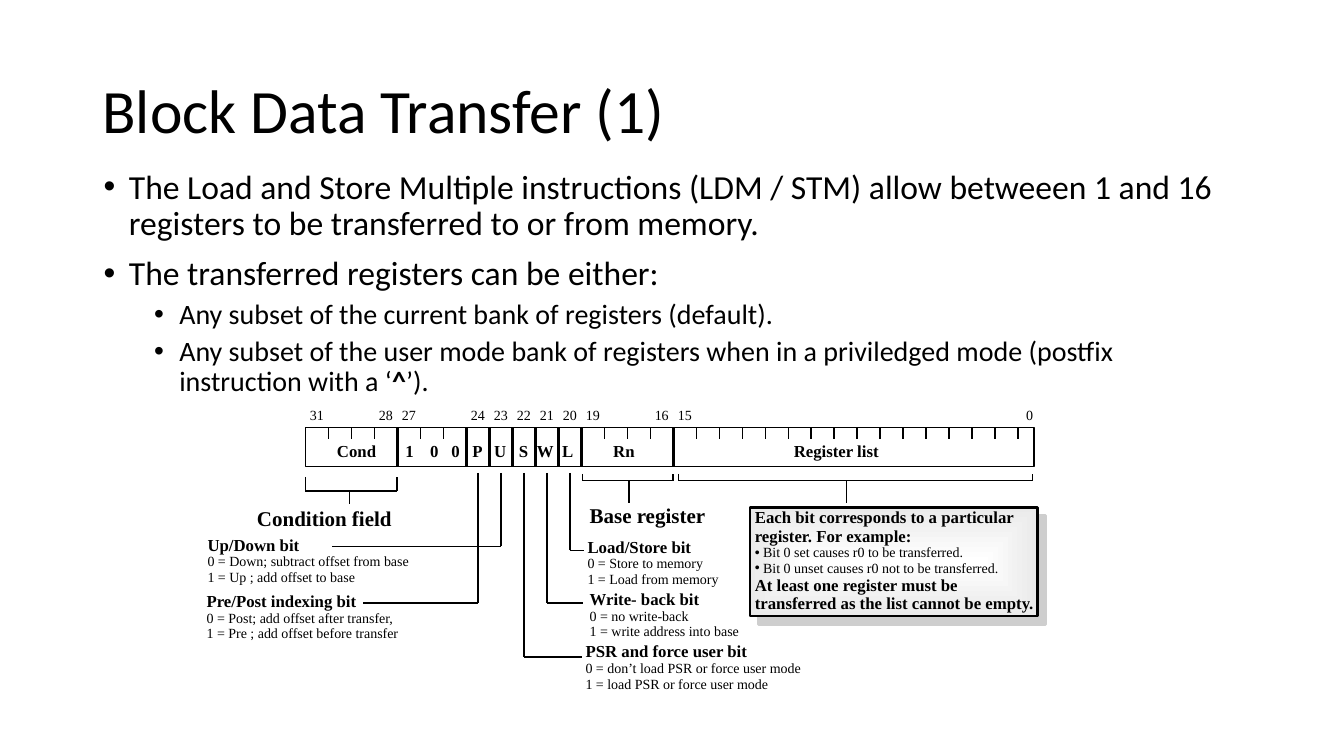
from lxml import etree
from pptx import Presentation
from pptx import util as u
from pptx.dml.color import RGBColor
from pptx.enum import shapes, text
from pptx.oxml import parse_xml
from pptx.oxml.ns import qn

NS = 'xmlns:a="http://schemas.openxmlformats.org/drawingml/2006/main"'
COLOURS = {"ink": "000000", "light": "FFFFFF", "grey": "EAEAEA", "shadow": "CECECE"}
SANS, SERIF = "Calibri", "Times New Roman"

TITLE = "Block Data Transfer (1)"
# text spans (every second one bold), size, left margin, space before
BODY = [
    (["The Load and Store Multiple instructions (LDM / STM) allow betweeen 1 and 16 "
      "registers to be transferred to or from memory."], 24, 18, 10),
    (["The transferred registers can be either:"], 24, 18, 10),
    (["Any subset of the current bank of registers (default)."], 20, 54, 5),
    (["Any subset of the user mode bank of registers when in a priviledged mode "
      "(postfix instruction with a ‘", "^", "’)."], 20, 54, 5),
]

# Instruction word: bit 31 on the left, bit 0 on the right
WORD_LEFT, WORD_TOP, WORD_WIDTH, WORD_HEIGHT = 218.2, 305.2, 520.5, 28
BIT_WIDTH, TICK = 16.42, 8.3
NUMBERED_BITS = [31, 28, 27, 24, 23, 22, 21, 20, 19, 16, 15, 0]
FIELD_STARTS = [27, 24, 23, 22, 21, 20, 19, 15]
FIELDS = [("Cond", 240.7), ("1", 289.5), ("0", 307.3), ("0", 322.5), ("P", 337.5),
          ("U", 353), ("S", 370.7), ("W", 383.5), ("L", 401.5), ("Rn", 438),
          ("Register list", 567)]

# left, right, top, bar, stem, stem end
BRACKETS = [
    (218.2, 283.7, 340.6, 350.6, 249.8, 360),
    (416.2, 480.6, 338.4, 343.4, 449.3, 359.3),
    (484.6, 737.3, 338.4, 343.4, 604.8, 359.3),
]
HEADINGS = [("Condition field", (178.6, 360.7, 108, 20.9)),
            ("Base register", (416.2, 358.6, 92.9, 20.2))]
# bit, leader end (x, y), text box, wrap, lines
FLAGS = [
    (23, (236.9, 390.2), (143.3, 380.9, 156.2, 39.6), False,
     ["Up/Down bit", "0 = Down; subtract offset from base", "1 = Up ; add offset to base"]),
    (24, (259.2, 430.6), (142.6, 421.2, 149, 39.6), False,
     ["Pre/Post indexing bit", "0 = Post; add offset after transfer,",
      "1 = Pre ; add offset before transfer"]),
    (20, (416.9, 393.1), (414.7, 382.3, 105.1, 39.6), False,
     ["Load/Store bit", "0 = Store to memory", "1 = Load from memory"]),
    (21, (416.2, 430.6), (416.2, 419.8, 118.1, 39.6), False,
     ["Write- back bit", "0 = no write-back", "1 = write address into base"]),
    (22, (415.4, 469.4), (413.3, 457.2, 233.3, 39.6), True,
     ["PSR and force user bit", "0 = don’t load PSR or force user mode",
      "1 = load PSR or force user mode"]),
]
LEADER_TOP = 337.7
NOTE_FRAME, NOTE_BOX = (535.7, 362.2, 205.2, 77.8), (534.2, 361.4, 212.4, 78.5)
NOTE = [
    ("Each bit corresponds to a particular register. For example:", False),
    (" Bit 0 set causes r0 to be transferred.", True),
    (" Bit 0 unset causes r0 not to be transferred.", True),
    ("At least one register must be transferred as the list cannot be empty.", False),
]


def points(values):
    return [u.Pt(value) for value in values]


def bit_left(bit):
    return WORD_LEFT + (31 - bit) * BIT_WIDTH


def bit_middle(bit):
    return bit_left(bit) + BIT_WIDTH / 2


def add_line(page, x1, y1, x2, y2, width=1):
    line = page.shapes.add_connector(shapes.MSO_CONNECTOR.STRAIGHT, *points((x1, y1, x2, y2)))
    line.line.width = u.Pt(width)
    line.line.color.rgb = RGBColor.from_string(COLOURS["ink"])
    etree.SubElement(line._element.spPr, qn("a:effectLst"))


def add_rectangle(page, place, width):
    box = page.shapes.add_shape(shapes.MSO_SHAPE.RECTANGLE, *points(place))
    box.shadow.inherit = False
    box.fill.background()
    box.line.width = u.Pt(width)
    box.line.color.rgb = RGBColor.from_string(COLOURS["ink"])
    return box


def add_box(page, place, wrap=True, label=True):
    """Add an empty text box; a label has tight margins and grows with its text."""
    frame = page.shapes.add_textbox(*points(place)).text_frame
    frame.word_wrap = wrap
    if label:
        formats = {"margin_left": u.Pt(5), "margin_right": u.Pt(5),
                   "margin_top": u.Pt(2.2), "margin_bottom": u.Pt(2.2),
                   "auto_size": text.MSO_AUTO_SIZE.SHAPE_TO_FIT_TEXT}
        for name, value in formats.items():
            setattr(frame, name, value)
    return frame


def add_para(frame, spans, size, bold=False, font=SERIF, spacing=0.91, before=0):
    """Add a paragraph whose every second span has the opposite weight."""
    first = frame.paragraphs[0]
    para = frame.add_paragraph() if first.runs else first
    para.line_spacing, para.space_before = spacing, u.Pt(before)
    for index, words in enumerate(spans):
        span = para.add_run()
        span.text = words
        formats = {"name": font, "size": u.Pt(size), "bold": bold != (index % 2 == 1)}
        for name, value in formats.items():
            setattr(span.font, name, value)
        span.font.color.rgb = RGBColor.from_string(COLOURS["ink"])
    return para


def add_bullet(para, margin=0, indent=0):
    props = para._p.get_or_add_pPr()
    props.set("marL", str(u.Pt(margin)))
    props.set("indent", str(u.Pt(indent)))
    props.append(parse_xml(f'<a:buFont {NS} typeface="Arial"/>'))
    props.append(parse_xml(f'<a:buChar {NS} char="•"/>'))


def draw_prose(page):
    frame = add_box(page, (66.2, 28.8, 828, 104.4), label=False)
    frame.vertical_anchor = text.MSO_ANCHOR.MIDDLE
    add_para(frame, [TITLE], 44, font=SANS, spacing=0.9)
    frame = add_box(page, (67, 118.1, 828, 342.7), label=False)
    for spans, size, margin, before in BODY:
        add_bullet(add_para(frame, spans, size, False, SANS, 0.9, before), margin, -18)


def draw_word(page):
    add_rectangle(page, (WORD_LEFT, WORD_TOP, WORD_WIDTH, WORD_HEIGHT), 1)
    for bit in range(32):
        divider = bit in FIELD_STARTS
        depth, width = (WORD_HEIGHT, 2) if divider else (TICK, 1)
        add_line(page, bit_left(bit), WORD_TOP, bit_left(bit), WORD_TOP + depth, width)
    for bit in NUMBERED_BITS:
        frame = add_box(page, (bit_middle(bit) - 10.4, 288.4, 20.8, 16.5), wrap=False)
        add_para(frame, [str(bit)], 10, spacing=1.0).alignment = text.PP_ALIGN.CENTER
    left = 229.7
    frame = add_box(page, (left, 311.8, 514, 19.4))
    para = add_para(frame, ["".join("\t" + name for name, x in FIELDS)], 12, True, spacing=1.04)
    tabs = etree.SubElement(para._p.get_or_add_pPr(), qn("a:tabLst"))
    for name, x in FIELDS:
        etree.SubElement(tabs, qn("a:tab"), pos=str(u.Pt(x - left - 5)), algn="l")


def draw_labels(page):
    for left, right, top, bar, stem, end in BRACKETS:
        add_line(page, left, top, left, bar)
        add_line(page, left, bar, right, bar)
        add_line(page, right, bar, right, top)
        add_line(page, stem, bar, stem, end)
    for heading, place in HEADINGS:
        add_para(add_box(page, place, wrap=False), [heading], 15, True, spacing=0.9)
    for bit, (x, y), place, wrap, lines in FLAGS:
        add_line(page, bit_middle(bit), LEADER_TOP, bit_middle(bit), y)
        add_line(page, bit_middle(bit), y, x, y)
        frame = add_box(page, place, wrap)
        for index, words in enumerate(lines):
            add_para(frame, [words], 10 if index else 12, index == 0)


def draw_note(page):
    props = add_rectangle(page, NOTE_FRAME, 2)._element.spPr
    props.replace(props.find(qn("a:noFill")), parse_xml(
        f'<a:gradFill {NS}><a:gsLst>'
        f'<a:gs pos="0"><a:srgbClr val="{COLOURS["light"]}"/></a:gs>'
        f'<a:gs pos="100000"><a:srgbClr val="{COLOURS["grey"]}"/></a:gs></a:gsLst>'
        '<a:path path="rect"><a:fillToRect l="50000" t="50000" r="50000" b="50000"/></a:path>'
        '</a:gradFill>'))
    props.find(qn("a:effectLst")).append(parse_xml(
        f'<a:outerShdw {NS} dist="{u.Pt(8.5)}" dir="2700000" algn="ctr" rotWithShape="0">'
        f'<a:srgbClr val="{COLOURS["shadow"]}"/></a:outerShdw>'))
    frame = add_box(page, NOTE_BOX)
    for words, bulleted in NOTE:
        para = add_para(frame, [words], 10 if bulleted else 12, not bulleted)
        if bulleted:
            add_bullet(para)


def main():
    deck = Presentation()
    deck.slide_width, deck.slide_height = points((960, 540))
    page = deck.slides.add_slide(deck.slide_layouts[6])
    for draw in (draw_prose, draw_word, draw_labels, draw_note):
        draw(page)
    deck.save("out.pptx")


if __name__ == "__main__":
    main()
